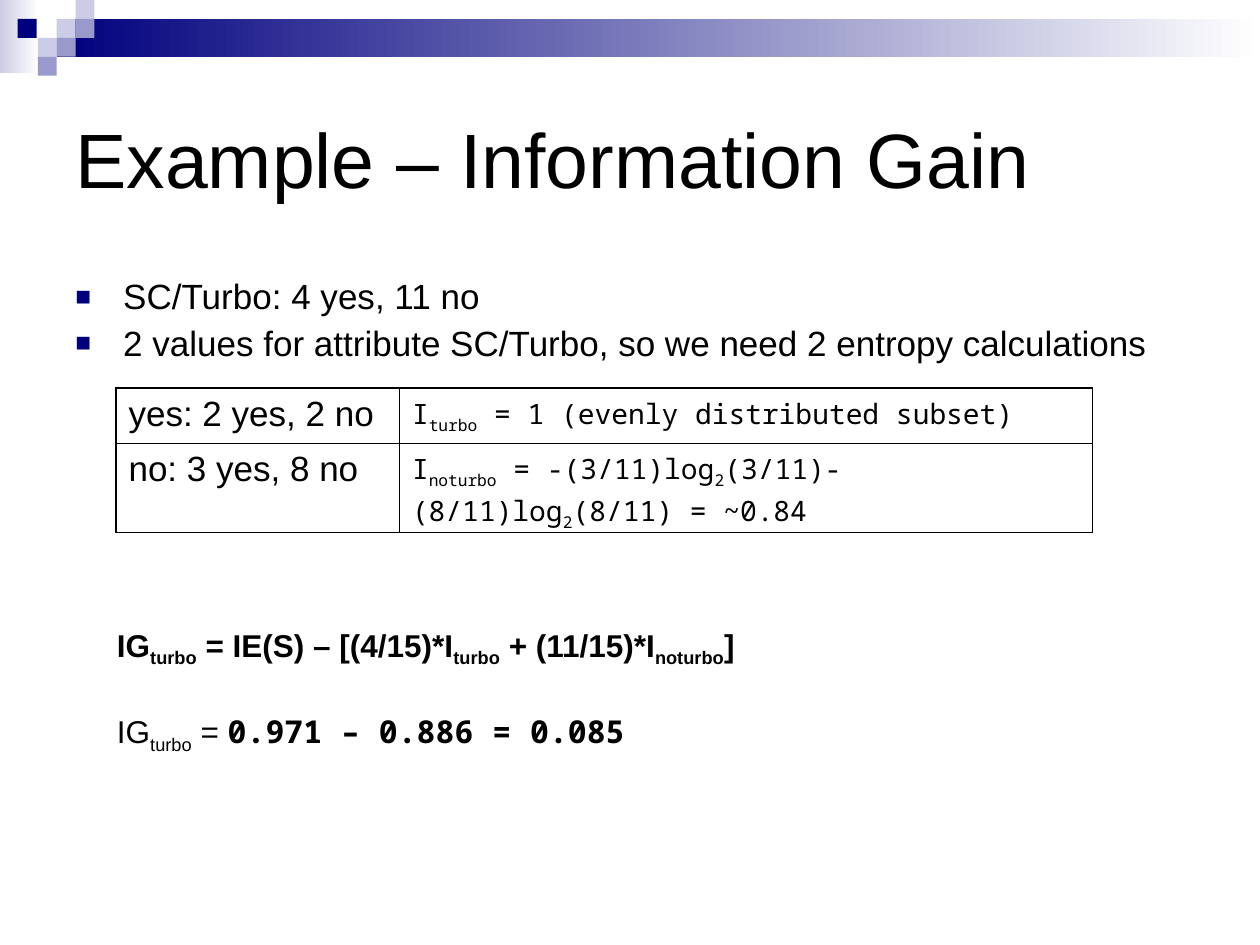
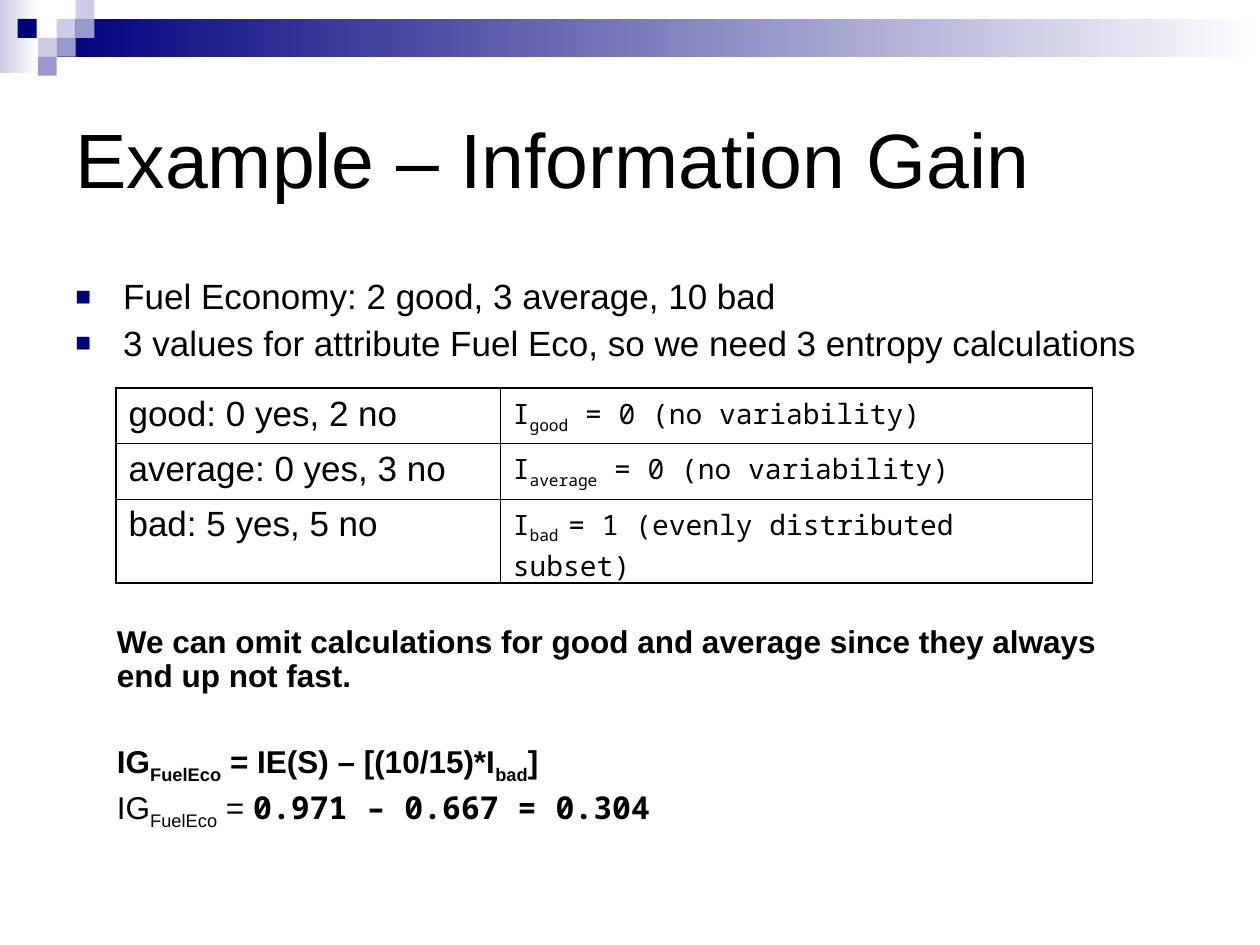
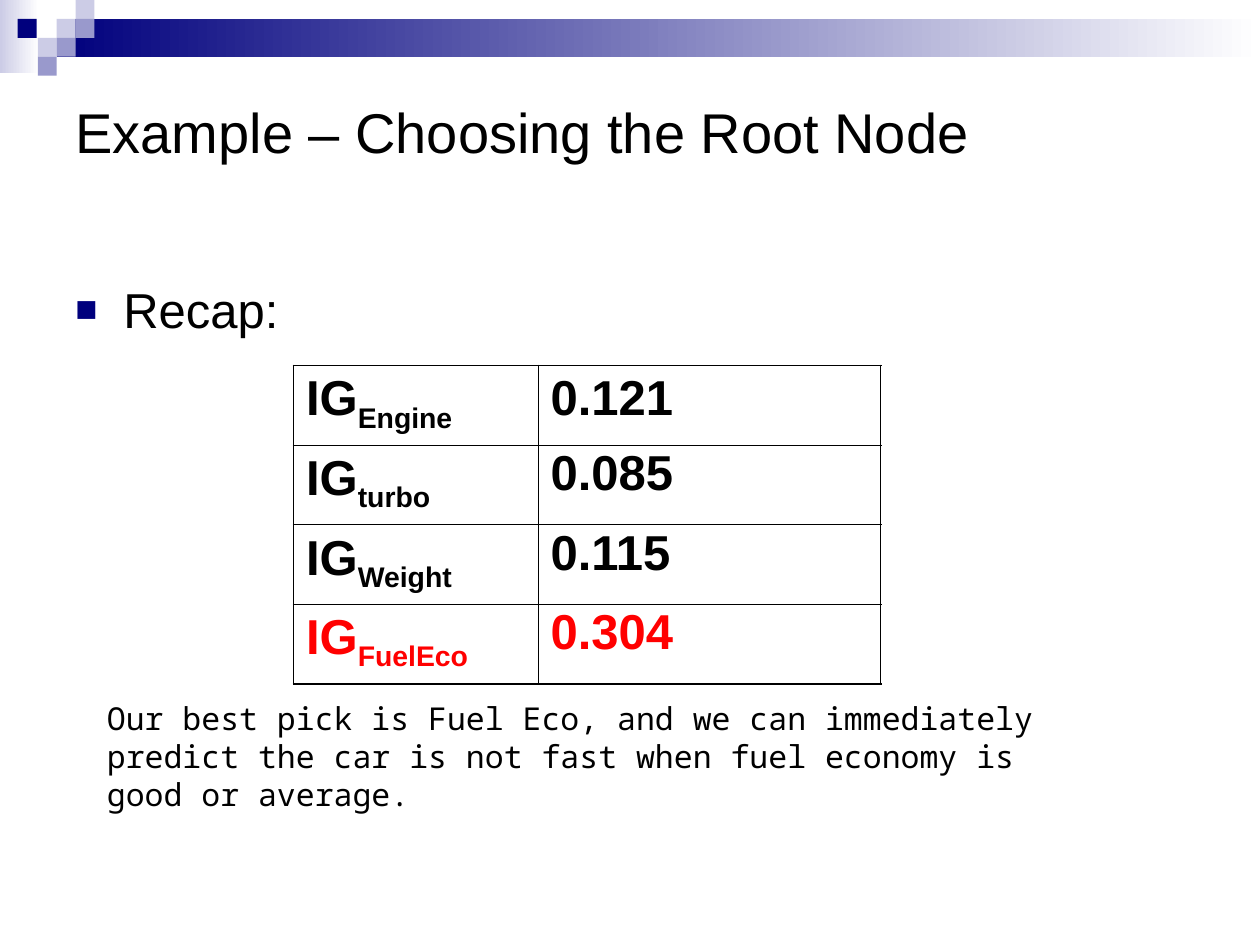
from lxml.etree import SubElement
from pptx import Presentation
from pptx.dml.color import RGBColor
from pptx.enum.shapes import MSO_SHAPE as Shape
from pptx.enum.text import MSO_ANCHOR as Anchor, MSO_AUTO_SIZE as AutoSize
from pptx.oxml import parse_xml
from pptx.oxml.ns import nsdecls, qn
from pptx.util import Pt

PX = 9144  # EMU per px, 100 px to the inch
COLORS = {"navy": "00007D", "lilac": "9999CC", "pale": "CCCCE6",
          "white": "FFFFFF", "black": "000000", "red": "FF0000"}
SANS, MONO = "Arial", "Noto Sans Mono"
OUTER_LINE, INNER_LINE = 1.08, 0.45

PLAIN = {"font": SANS, "size": 20, "bold": False, "color": "black", "before": 0, "line": 1.0}
BULLET = PLAIN | {"before": 5, "line": 0.9}
LABEL = PLAIN | {"before": 5}
ENTROPY = PLAIN | {"font": MONO, "size": 16, "before": 4}
BOLD = PLAIN | {"size": 18, "bold": True, "before": 4.5, "line": 0.9}
BOLD_APART = BOLD | {"before": 27.5}
RESULT = BOLD | {"bold": False}
RESULT_APART = RESULT | {"before": 27.5}
GAIN = PLAIN | {"size": 28, "bold": True, "before": 7}


def rgb(color):
    return RGBColor.from_string(COLORS[color])


def add_spans(para, markup, font=None):
    """Add runs; text between bars is subscript."""
    for index, text in enumerate(markup.split("|")):
        if not text:
            continue
        span = para.add_run()
        span.text = text
        if font:
            span.font.name, span.font.bold = font, True
        if index % 2:
            span._r.get_or_add_rPr().set("baseline", "-25000")


def add_bullet(para):
    props = para._p.get_or_add_pPr()
    props.set("marL", str(38 * PX))
    props.set("indent", str(-38 * PX))
    color = SubElement(props, qn("a:buClr"))
    SubElement(color, qn("a:srgbClr"), val=COLORS["navy"])
    SubElement(props, qn("a:buSzPct"), val="75000")
    SubElement(props, qn("a:buFont"), typeface=SANS)
    SubElement(props, qn("a:buChar"), char="■")


def write(frame, lines, bulleted=False):
    """Fill a text frame from (markup, style[, bold monospaced ending]) lines."""
    for index, (markup, style, *ending) in enumerate(lines):
        para = frame.add_paragraph() if index else frame.paragraphs[0]
        if bulleted:
            add_bullet(para)
        para.space_before = Pt(style["before"])
        para.line_spacing = style["line"]
        para.font.name = style["font"]
        para.font.size = Pt(style["size"])
        para.font.bold = style["bold"]
        para.font.color.rgb = rgb(style["color"])
        add_spans(para, markup)
        for text in ending:
            add_spans(para, text, MONO)


def set_borders(cell, widths):
    """Draw the left, right, top and bottom borders, in that order."""
    props = cell._tc.get_or_add_tcPr()
    for index, (side, width) in enumerate(zip("LRTB", widths)):
        props.insert(index, parse_xml(
            f'<a:ln{side} {nsdecls("a")} w="{Pt(width)}"><a:solidFill>'
            f'<a:srgbClr val="{COLORS["black"]}"/></a:solidFill></a:ln{side}>'))


class Lecture:
    def __init__(self):
        self.deck = Presentation()
        self.deck.slide_width, self.deck.slide_height = 1000 * PX, 750 * PX

    def new_page(self, title, title_size=44, title_height=150):
        self.page = self.deck.slides.add_slide(self.deck.slide_layouts[6])
        self.rectangle(0, 0, 31, 58, "pale", "white")
        self.rectangle(45, 15, 955, 30, "navy", "white")
        for left, top, color in ((45, 15, "pale"), (60, 0, "pale"), (60, 15, "lilac"),
                                 (30, 30, "pale"), (14, 15, "navy"), (45, 30, "lilac"),
                                 (30, 45, "lilac")):
            self.rectangle(left, top, 15, 15, color)
        box = self.text(50, 50, 900, title_height, [(title, PLAIN | {"size": title_size})])
        box.text_frame.vertical_anchor = Anchor.MIDDLE

    def rectangle(self, left, top, width, height, color, fade_to=None):
        shape = self.page.shapes.add_shape(
            Shape.RECTANGLE, left * PX, top * PX, width * PX, height * PX)
        shape.shadow.inherit = False
        shape.line.fill.background()
        if fade_to:
            shape.fill.gradient()
            shape.fill.gradient_angle = 0
            for stop, name in zip(shape.fill.gradient_stops, (color, fade_to)):
                stop.color.rgb = rgb(name)
        else:
            shape.fill.solid()
            shape.fill.fore_color.rgb = rgb(color)

    def text(self, left, top, width, height, lines, bulleted=False, grow=False):
        box = self.page.shapes.add_textbox(left * PX, top * PX, width * PX, height * PX)
        box.text_frame.word_wrap = True
        if grow:
            box.text_frame.auto_size = AutoSize.SHAPE_TO_FIT_TEXT
        write(box.text_frame, lines, bulleted)
        return box

    def bullets(self, *texts, width=900, height=117, style=BULLET):
        self.text(50, 217, width, height, [(text, style) for text in texts], bulleted=True)

    def table(self, left, top, widths, row_height, rows):
        """Lay out rows of (markup, style) cells inside a heavier frame."""
        grid = self.page.shapes.add_table(
            len(rows), len(widths), left * PX, top * PX,
            sum(widths) * PX, len(rows) * row_height * PX).table
        grid.first_row = grid.horz_banding = False
        for column, width in zip(grid.columns, widths):
            column.width = width * PX
        for y, row in enumerate(rows):
            for x, content in enumerate(row):
                cell = grid.cell(y, x)
                cell.fill.background()
                on_edge = (x == 0, x == len(widths) - 1, y == 0, y == len(rows) - 1)
                set_borders(cell, [OUTER_LINE if edge else INNER_LINE for edge in on_edge])
                write(cell.text_frame, [content])

    def entropies(self, widths, *pairs):
        self.table(92, 308, widths, 44,
                   [((label, LABEL), (formula, ENTROPY)) for label, formula in pairs])

    def conclusion(self, height, *lines):
        self.text(83, 492, 842, height, lines, grow=True)


def turbo_page(lecture):
    lecture.new_page("Example – Information Gain")
    lecture.bullets("SC/Turbo: 4 yes, 11 no",
                    "2 values for attribute SC/Turbo, so we need 2 entropy calculations")
    lecture.entropies(
        (225, 550),
        ("yes: 2 yes, 2 no", "I|turbo| = 1 (evenly distributed subset)"),
        ("no: 3 yes, 8 no",
         "I|noturbo| = -(3/11)log|2|(3/11)-(8/11)log|2|(8/11) = ~0.84"))
    lecture.conclusion(
        111,
        ("IG|turbo| = IE(S) – [(4/15)*I|turbo| + (11/15)*I|noturbo|]", BOLD),
        ("IG|turbo| = ", RESULT_APART, "0.971 – 0.886 = 0.085"))


def fuel_page(lecture):
    lecture.new_page("Example – Information Gain")
    lecture.bullets("Fuel Economy: 2 good, 3 average, 10 bad",
                    "3 values for attribute Fuel Eco, so we need 3 entropy calculations")
    lecture.entropies(
        (305, 470),
        ("good: 0 yes, 2 no", "I|good| = 0 (no variability)"),
        ("average: 0 yes, 3 no", "I|average| = 0 (no variability)"),
        ("bad: 5 yes, 5 no", "I|bad |= 1 (evenly distributed subset)"))
    lecture.conclusion(
        171,
        ("We can omit calculations for good and average since they always "
         "end up not fast.", BOLD),
        ("IG|FuelEco| = IE(S) – [(10/15)*I|bad|]", BOLD_APART),
        ("IG|FuelEco| = ", RESULT, "0.971 – 0.667 = 0.304"))


def root_page(lecture):
    lecture.new_page("Example – Choosing the Root Node", title_size=32, title_height=108)
    lecture.bullets("Recap:", width=442, height=425, style=PLAIN | {"size": 28, "before": 7})
    gains = {"Engine": "0.121", "turbo": "0.085", "Weight": "0.115", "FuelEco": "0.304"}
    best = max(gains, key=gains.get)
    rows = []
    for name, gain in gains.items():
        style = GAIN | {"color": "red" if name == best else "black"}
        rows.append(((f"IG|{name}|", style),
                     (gain, style | {"line": 0.9 if rows else 1.0})))
    lecture.table(233, 290, (194, 272), 63, rows)
    lecture.text(75, 550, 760, 70, [
        ("Our best pick is Fuel Eco, and we can immediately predict the car is not fast "
         "when fuel economy is good or average.", PLAIN | {"font": MONO, "size": 18})],
        grow=True)


def main():
    lecture = Lecture()
    for build in (turbo_page, fuel_page, root_page):
        build(lecture)
    lecture.deck.save("out.pptx")


if __name__ == "__main__":
    main()
